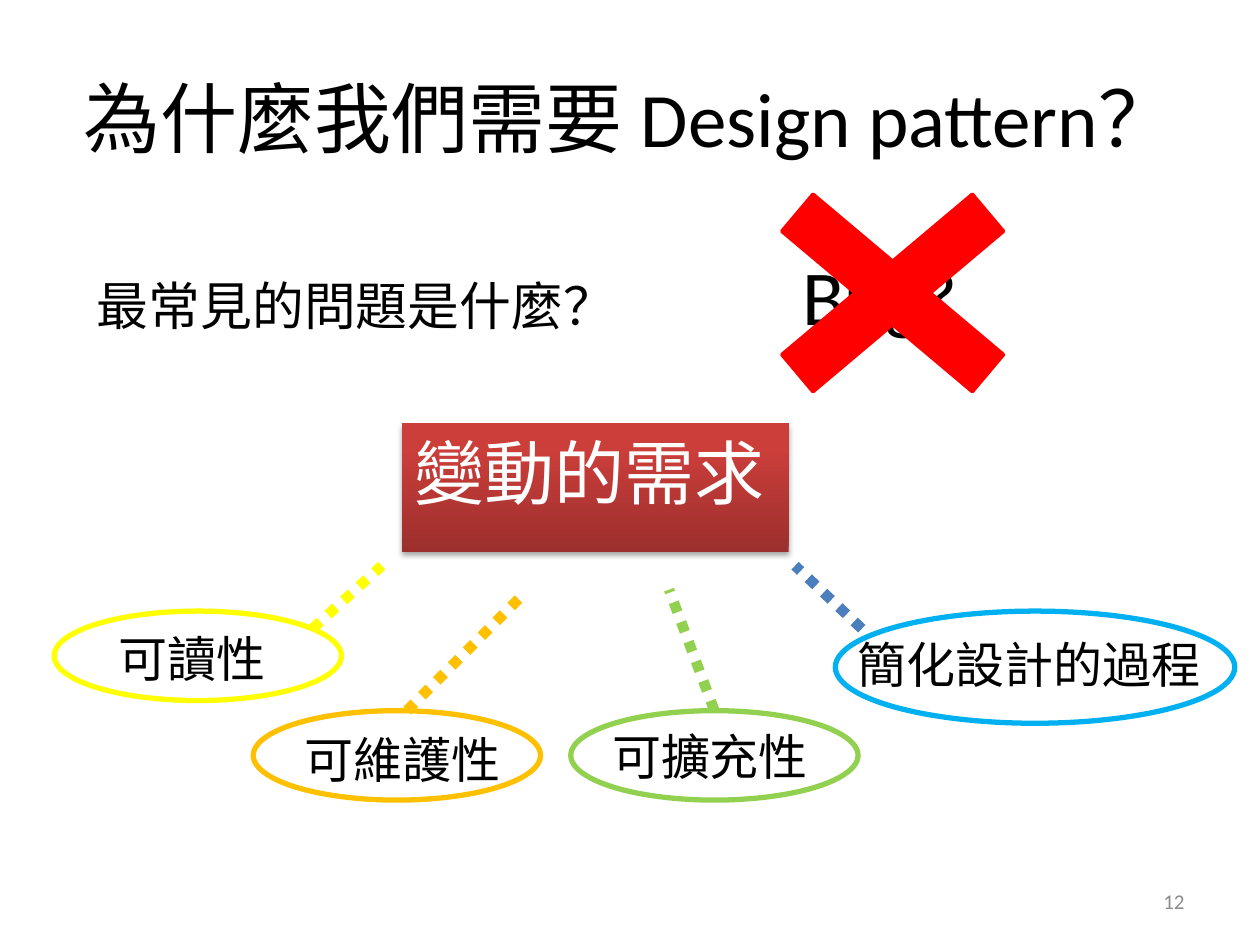
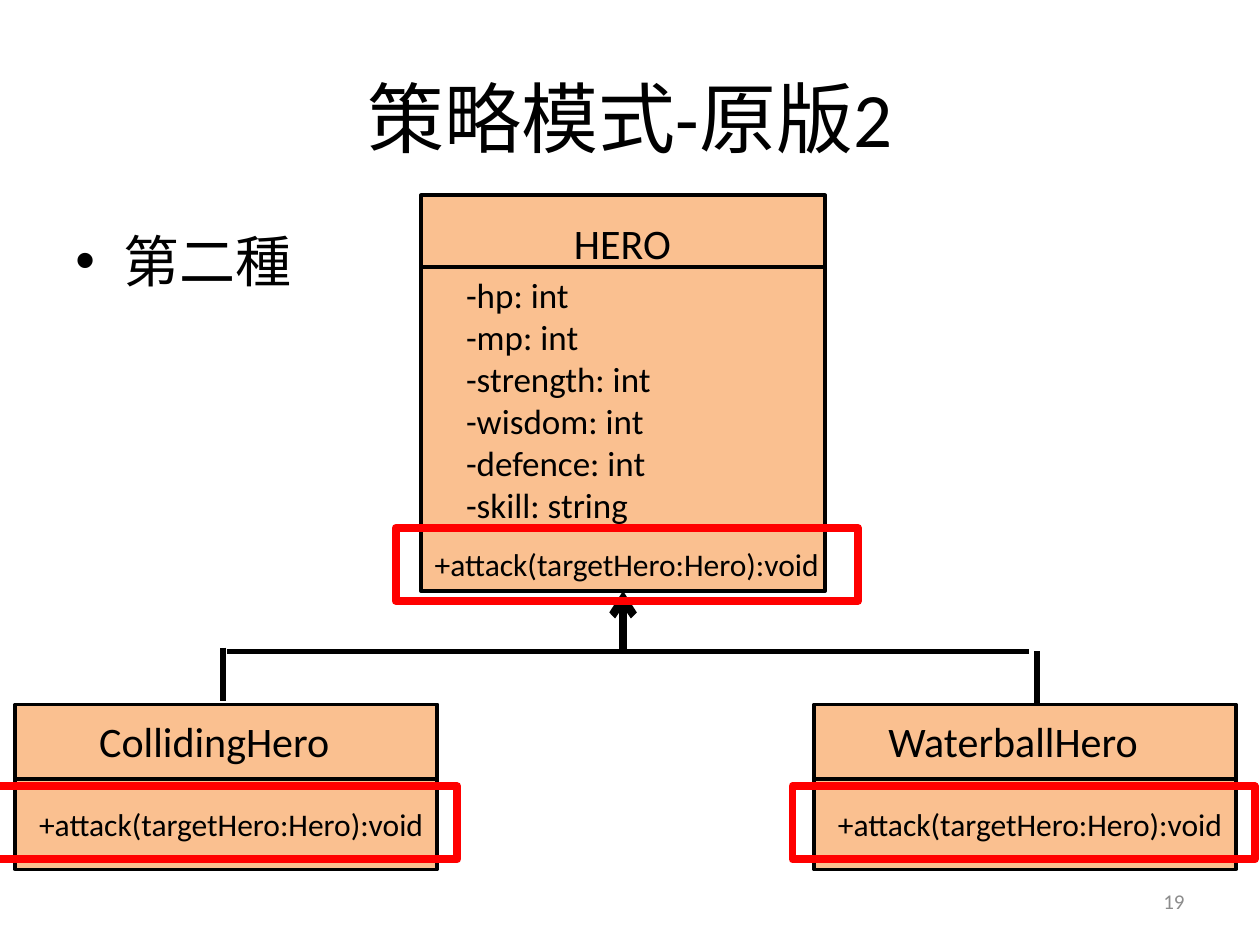
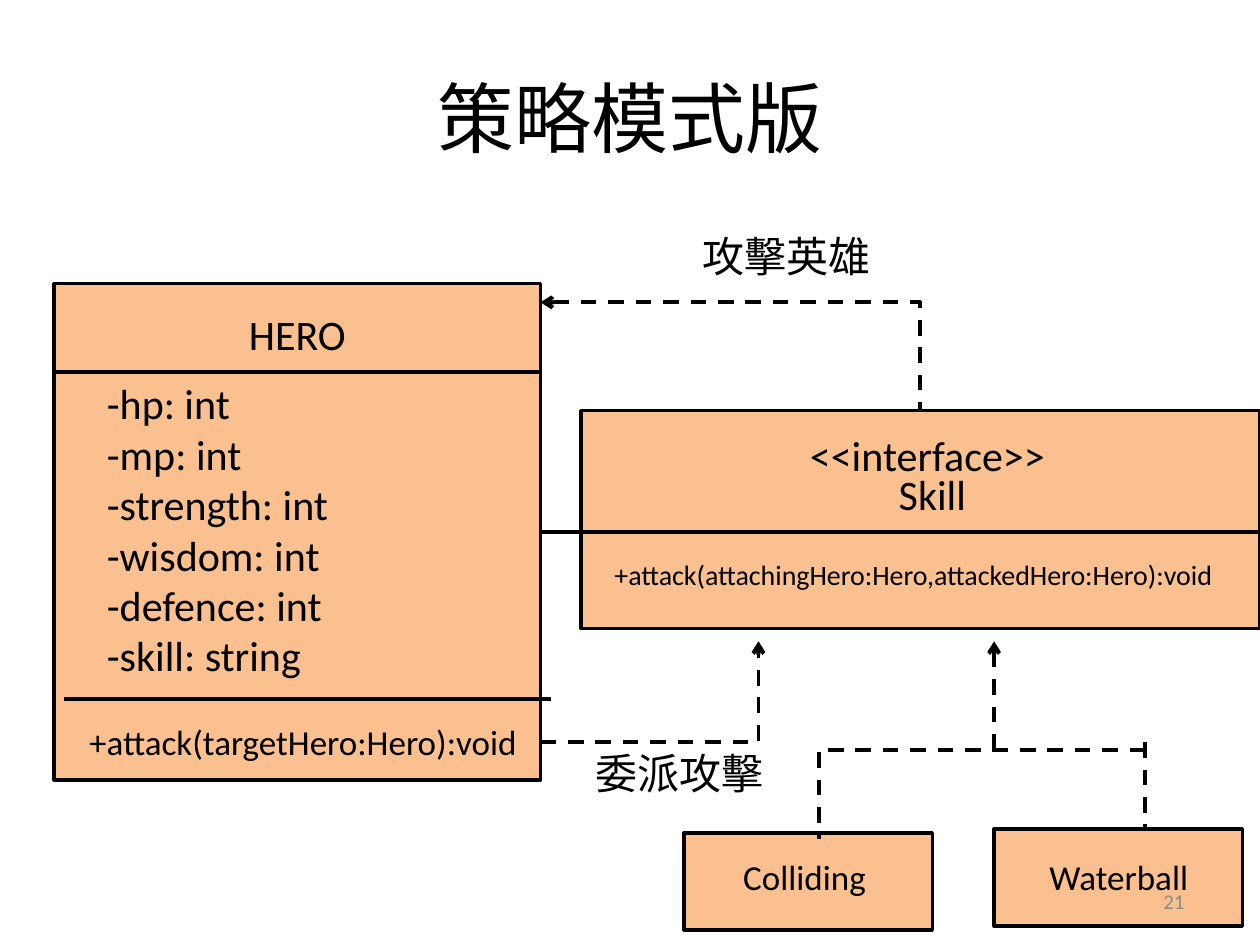
from dataclasses import dataclass

from lxml import etree
from pptx import Presentation
from pptx import util as u
from pptx.dml.color import RGBColor
from pptx.enum import dml, shapes, text
from pptx.oxml import ns


@dataclass(frozen=True)
class Theme:
    font: str = "Calibri"
    ink: str = "000000"
    muted: str = "8C8C8C"
    white: str = "FFFFFF"
    red: str = "FF0000"
    yellow: str = "FFFF00"
    orange: str = "FFC000"
    green: str = "92D050"
    sky: str = "00B0F0"
    blue: str = "4B7EBC"
    peach: str = "FAC090"
    banner_dark: str = "9C2F2D"
    banner_light: str = "CB3E3A"
    title: float = 44
    banner: float = 40
    bullet: float = 32
    question: float = 29.6
    answer: float = 44.4
    quality: float = 28
    heading: float = 24
    member: float = 20
    method: float = 18
    signature: float = 16
    number: float = 12
    outline: float = 2
    divider: float = 2.25
    branch: float = 3
    heavy: float = 4.5
    dots: float = 6


theme = Theme()
LEFT, CENTER, RIGHT = text.PP_ALIGN.LEFT, text.PP_ALIGN.CENTER, text.PP_ALIGN.RIGHT
TOP, MIDDLE = text.MSO_ANCHOR.TOP, text.MSO_ANCHOR.MIDDLE
RECT, OVAL = shapes.MSO_SHAPE.RECTANGLE, shapes.MSO_SHAPE.OVAL
STRAIGHT, ELBOW = shapes.MSO_CONNECTOR.STRAIGHT, shapes.MSO_CONNECTOR.ELBOW
DASH, DOT = dml.MSO_LINE.DASH, dml.MSO_LINE.ROUND_DOT

deck = Presentation()
deck.slide_width, deck.slide_height = u.Inches(10), u.Inches(7.5)
COLUMN, ROW = deck.slide_width / 100, deck.slide_height / 75


def add_box(page, cell, lines=(), size=0, align=LEFT, color=theme.ink, anchor=TOP,
            kind=None, fill=None, line=None, width=theme.outline):
    left, top, wide, high = cell
    frame = [round(n) for n in (left * COLUMN, top * ROW, wide * COLUMN, high * ROW)]
    if kind is None:
        box = page.shapes.add_textbox(*frame)
    else:
        box = page.shapes.add_shape(kind, *frame)
        box.shadow.inherit = False
        if fill:
            box.fill.solid()
            box.fill.fore_color.rgb = RGBColor.from_string(fill)
        else:
            box.fill.background()
        if line:
            box.line.color.rgb = RGBColor.from_string(line)
            box.line.width = u.Pt(width)
        else:
            box.line.fill.background()
    body = box.text_frame
    body.word_wrap = True
    body.vertical_anchor = anchor
    for index, words in enumerate(lines):
        para = body.add_paragraph() if index else body.paragraphs[0]
        para.alignment = align
        span = para.add_run()
        span.text = words
        span.font.name = theme.font
        span.font.size = u.Pt(size)
        span.font.color.rgb = RGBColor.from_string(color)
    return box


def add_line(page, start, end, color=theme.ink, width=theme.divider, dash=None,
             arrow=None, kind=STRAIGHT):
    line = page.shapes.add_connector(
        kind, round(start[0] * COLUMN), round(start[1] * ROW),
        round(end[0] * COLUMN), round(end[1] * ROW))
    line.line.color.rgb = RGBColor.from_string(color)
    line.line.width = u.Pt(width)
    if dash:
        line.line.dash_style = dash
    props = line._element.spPr
    if arrow:
        etree.SubElement(props.find(ns.qn("a:ln")), ns.qn(arrow), type="arrow")
    etree.SubElement(props, ns.qn("a:effectLst"))
    return line


pages = []
for title in ("為什麼我們需要 Design pattern？", "策略模式-原版2", "策略模式版"):
    page = deck.slides.add_slide(deck.slide_layouts[6])
    add_box(page, (5, 3, 90, 12.5), [title], theme.title, CENTER, anchor=MIDDLE)
    pages.append(page)
reasons, inheritance, strategy = pages

question = add_box(reasons, (6.7, 19.2, 90, 8.2), ["最常見的問題是什麼？\t"], theme.question)
para = question.text_frame.paragraphs[0]
span = para.add_run()
span.text = "Bug?"
span.font.name = theme.font
span.font.size = u.Pt(theme.answer)
span.font.color.rgb = RGBColor.from_string(theme.ink)
tabs = etree.SubElement(para._p.get_or_add_pPr(), ns.qn("a:tabLst"))
etree.SubElement(tabs, ns.qn("a:tab"), pos=str(round(56 * COLUMN)), algn="l")

banner = add_box(reasons, (31.9, 33.6, 30.7, 10.2), ["變動的需求"], theme.banner,
                 color=theme.white, kind=RECT)
banner.fill.gradient()
banner.fill.gradient_angle = 90
for stop, color, position in zip(banner.fill.gradient_stops,
                                 (theme.banner_dark, theme.banner_light), (0, 0.8)):
    stop.color.rgb = RGBColor.from_string(color)
    stop.position = position
effects = banner._element.spPr.find(ns.qn("a:effectLst"))
shadow = etree.SubElement(effects, ns.qn("a:outerShdw"), blurRad=str(u.Pt(3.1)),
                          dist=str(u.Pt(1.8)), dir="5400000", rotWithShape="0")
shade = etree.SubElement(shadow, ns.qn("a:srgbClr"), val=theme.ink)
etree.SubElement(shade, ns.qn("a:alpha"), val="35000")

cross = add_box(reasons, (56.3, 11, 29.1, 24.5), kind=shapes.MSO_SHAPE.MATH_MULTIPLY,
                fill=theme.red, line=theme.red)
cross.adjustments[0] = 0.157

qualities = [
    ("可讀性", (8.4, 49.4, 18.1, 5.7), (4.3, 48.5, 22.8, 7.1),
     theme.yellow, theme.yellow, (24.8, 49.9), (30.3, 44.9)),
    ("可維護性", (23.2, 57.4, 18.1, 5.7), (20.1, 56.4, 22.8, 7.1),
     theme.orange, theme.orange, (32.3, 56.4), (41.3, 47.4)),
    ("可擴充性", (47.6, 57.2, 18.1, 5.7), (45.3, 56.4, 22.8, 7.1),
     theme.green, theme.green, (56.7, 56.4), (53.1, 46.8)),
    ("簡化設計的過程", (67.1, 49.9, 32.5, 5.7), (66.3, 48.5, 31.7, 8.9),
     theme.sky, theme.blue, (68.4, 49.9), (63.1, 44.9)),
]
for quality, label, ring, ring_color, dot_color, start, end in qualities:
    add_box(reasons, label, [quality], theme.quality)
    add_box(reasons, ring, kind=OVAL, line=ring_color, width=theme.branch)
    add_line(reasons, start, end, dot_color, theme.dots, DOT)

fields = ["-hp: int", "-mp: int", "-strength: int", "-wisdom: int", "-defence: int",
          "-skill: string"]
attack = ["+attack(targetHero:Hero):void"]
hero_layouts = [
    (inheritance, (33.4, 15.5, 32.1, 31.4), (43.2, 16.8, 12.4, 4), 21.2,
     (36, 21.2, 22.9, 21.2), theme.member, (33.5, 41.9), (31.4, 42.8, 36.7, 4), theme.method),
    (strategy, (4.3, 22.5, 38.6, 39.4), (16.1, 24, 15, 5), 29.5,
     (7.5, 29.5, 27.6, 25.2), theme.heading, (5.1, 55.5), (2, 56.7, 44.1, 4.4), theme.member),
]
heroes = []
for page, frame, name, split, listing, size, rule, method, method_size in hero_layouts:
    heroes.append(add_box(page, frame, kind=RECT, fill=theme.peach, line=theme.ink))
    add_box(page, name, ["HERO"], theme.heading, CENTER)
    add_line(page, (frame[0], split), (frame[0] + frame[2], split))
    add_box(page, listing, fields, size)
    add_line(page, rule, (rule[0] + frame[2], rule[1]))
    add_box(page, method, attack, method_size, CENTER)

kinds = add_box(inheritance, (5, 17.5, 90, 49.5), ["第二種"], theme.bullet)
bullet = kinds.text_frame.paragraphs[0]._p.get_or_add_pPr()
bullet.set("marL", str(round(3.8 * COLUMN)))
bullet.set("indent", str(round(-3.8 * COLUMN)))
etree.SubElement(bullet, ns.qn("a:buFont"), typeface="Arial")
etree.SubElement(bullet, ns.qn("a:buChar"), char="•")

for name, left, drop, drop_top in (("CollidingHero", 1.2, 17.7, 51.4),
                                   ("WaterballHero", 64.6, 82.3, 51.7)):
    add_line(inheritance, (drop, drop_top), (drop, drop_top + 4.2), width=theme.branch)
    add_box(inheritance, (left, 55.9, 33.5, 13.1), kind=RECT, fill=theme.peach, line=theme.ink)
    add_line(inheritance, (left, 61.8), (left + 33.5, 61.8))
    add_box(inheritance, (left + 3.2, 56.3, 25.2, 5), [name], theme.heading, CENTER)
    add_box(inheritance, (left - 1.2, 63.4, 36.7, 4), attack, theme.method, CENTER)
add_line(inheritance, (18, 51.7), (81.7, 51.7), width=theme.branch)
parent = add_line(inheritance, (49.45, 51.7), (49.45, 46.9), width=theme.heavy,
                  arrow="a:tailEnd")
parent.end_connect(heroes[0], 2)
for left, top in ((31.4, 41.9), (62.9, 62.4), (-0.4, 62.4)):
    add_box(inheritance, (left, top, 36.7, 5.8), kind=RECT, line=theme.red, width=theme.heavy)

add_box(strategy, (46.1, 32.6, 53.9, 17.3), kind=RECT, fill=theme.peach, line=theme.ink)
add_line(strategy, (46.1, 42.2), (100, 42.2))
for words, cell, size in (
        ("<<interface>>", (60.2, 33.6, 26.8, 5), theme.heading),
        ("Skill", (66.5, 36.7, 15, 5), theme.heading),
        ("+attack(attachingHero:Hero,attackedHero:Hero):void", (46.1, 43.8, 52.8, 3.7),
         theme.signature),
        ("攻擊英雄", (50.8, 17.8, 23.2, 9.1), theme.heading),
        ("委派攻擊", (42.9, 58.8, 22, 13.1), theme.heading)):
    add_box(strategy, cell, [words], size, CENTER)
owner = add_line(strategy, (42.9, 42.2), (46.1, 42.2))
owner.begin_connect(heroes[1], 3)

for start, end, arrow in (((42.9, 58.9), (60.2, 50.9), "a:tailEnd"),
                          ((42.9, 24), (73, 32.6), "a:headEnd")):
    bend = add_line(strategy, start, end, dash=DASH, arrow=arrow, kind=ELBOW)
    guides = bend._element.spPr.find(ns.qn("a:prstGeom")).find(ns.qn("a:avLst"))
    etree.SubElement(guides, ns.qn("a:gd"), name="adj1", fmla="val 100000")

for skill, left, top, label_left, label_wide in (("Colliding", 54.3, 66.1, 58, 11.8),
                                                 ("Waterball", 78.9, 65.8, 82.3, 14.4)):
    add_box(strategy, (left, top, 19.7, 7.7), kind=RECT, fill=theme.peach, line=theme.ink)
    add_box(strategy, (label_left, 67.4, label_wide, 4.4), [skill], theme.member)
for start, end, arrow in (((65, 59.7), (65, 66.6), None),
                          ((90.9, 59.5), (65.1, 59.5), None),
                          ((78.9, 59.5), (78.9, 50.9), "a:tailEnd"),
                          ((90.9, 58.9), (90.9, 65.8), None)):
    add_line(strategy, start, end, dash=DASH, arrow=arrow)

for page, number in zip(pages, ("12", "19", "21")):
    add_box(page, (71.7, 69.5, 23.3, 4), [number], theme.number, RIGHT, theme.muted, MIDDLE)

deck.save("out.pptx")
